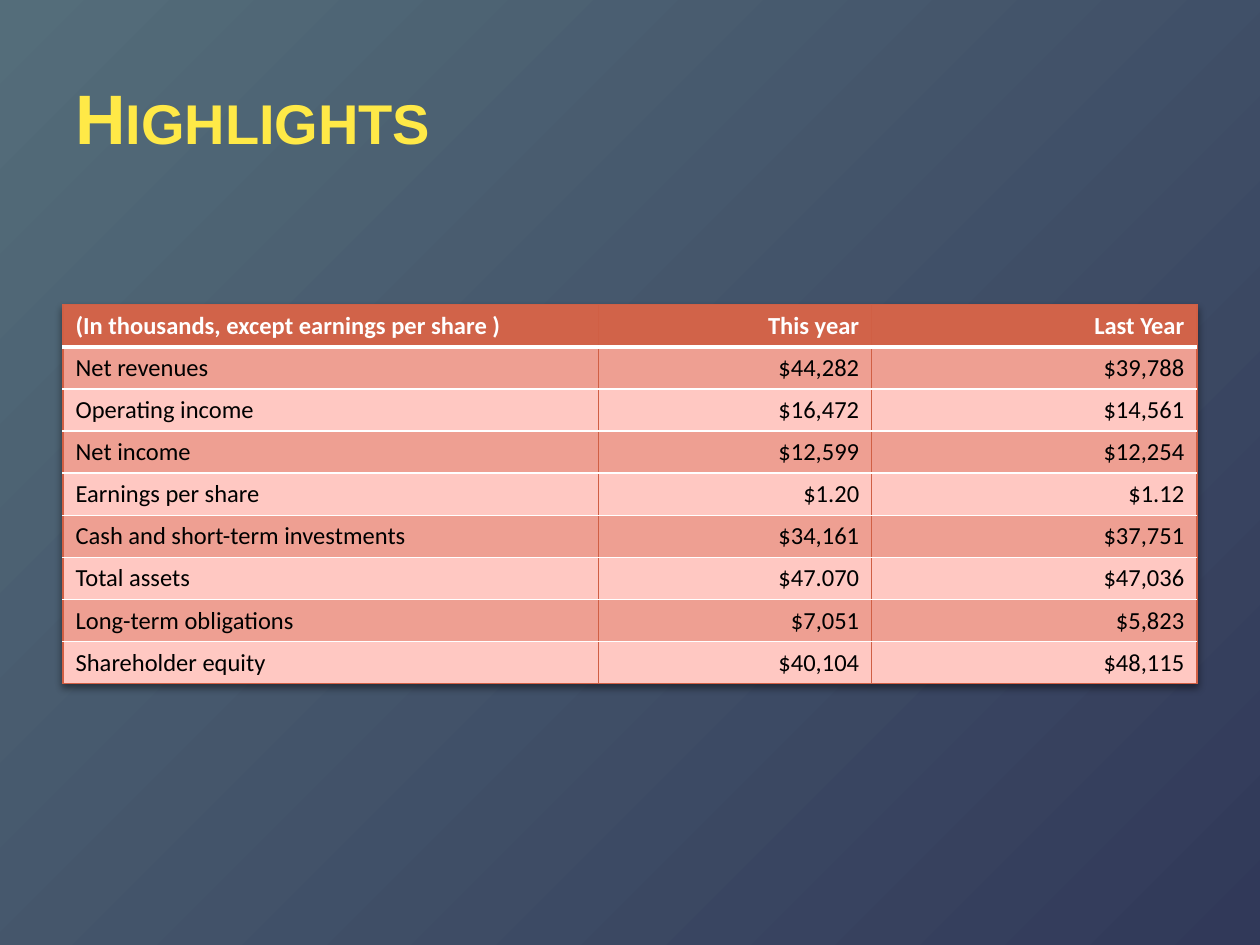
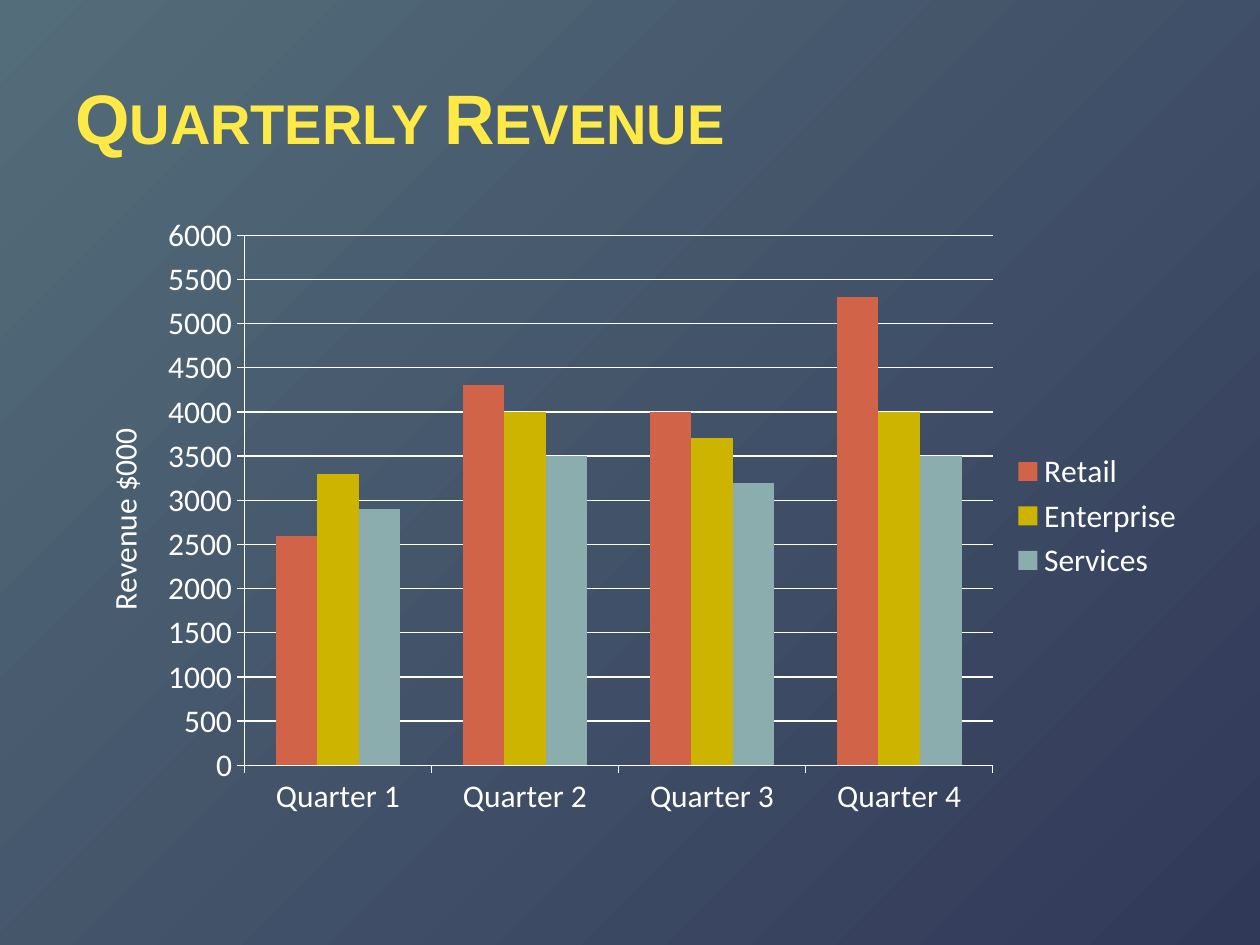
from lxml import etree
from pptx import Presentation
from pptx import util as u
from pptx.chart import data as chart_data
from pptx.dml import color
from pptx.enum import chart as charts, text
from pptx.oxml import ns, parse_xml

TITLE_FONT, BODY_FONT = "Arial", "Calibri"
YELLOW, WHITE, BLACK = "FFE947", "FFFFFF", "000000"
SKY_TOP, SKY_BOTTOM = "546D7A", "313959"
RUST, RUST_LINE, GOLD, TEAL = "D16349", "D05F44", "CCB400", "8CADAE"
DARK_BAND, LIGHT_BAND = "EE9F92", "FFC8C2"

HIGHLIGHTS = [
    ("(In thousands, except earnings per share )", "This year", "Last Year"),
    ("Net revenues", "$44,282", "$39,788"),
    ("Operating income", "$16,472", "$14,561"),
    ("Net income", "$12,599", "$12,254"),
    ("Earnings per share", "$1.20", "$1.12"),
    ("Cash and short-term investments", "$34,161", "$37,751"),
    ("Total assets", "$47.070", "$47,036"),
    ("Long-term obligations", "$7,051", "$5,823"),
    ("Shareholder equity", "$40,104", "$48,115"),
]
COLUMN_WIDTHS = (4.25, 2.17, 2.58)
QUARTERS = ["Quarter 1", "Quarter 2", "Quarter 3", "Quarter 4"]
REVENUE = [
    ("Retail", (2600, 4300, 4000, 5300), RUST),
    ("Enterprise", (3300, 4000, 3700, 4000), GOLD),
    ("Services", (2900, 3500, 3200, 3500), TEAL),
]


def rgb(value):
    return color.RGBColor.from_string(value)


def style_font(font, name, size, hue, bold=False):
    font.name, font.size, font.bold = name, u.Pt(size), bold
    font.color.rgb = rgb(hue)


def add_titled_slide(prs, heading):
    slide = prs.slides.add_slide(prs.slide_layouts[6])
    backdrop = slide.background.fill
    backdrop.gradient()
    backdrop.gradient_angle = 315
    for stop, hue in zip(backdrop.gradient_stops, (SKY_TOP, SKY_BOTTOM)):
        stop.color.rgb = rgb(hue)
    title = slide.shapes.add_textbox(
        u.Inches(0.5), u.Inches(0.3), u.Inches(9), u.Inches(1.25)).text_frame
    title.word_wrap = True
    title.vertical_anchor = text.MSO_ANCHOR.MIDDLE
    line = title.paragraphs[0]
    run = line.add_run()
    run.text = heading
    style_font(line.font, TITLE_FONT, 40, YELLOW, True)
    run._r.get_or_add_rPr().set("cap", "small")
    return slide


def set_borders(cell, borders):
    props = cell._tc.get_or_add_tcPr()
    for index, (side, hue, width) in enumerate(borders):
        props.insert(index, parse_xml(
            f'<a:ln{side} {ns.nsdecls("a")} w="{u.Pt(width)}"><a:solidFill>'
            f'<a:srgbClr val="{hue}"/></a:solidFill></a:ln{side}>'))


def add_table_shadow(table):
    table._tbl.tblPr.insert(0, parse_xml(
        f'<a:effectLst {ns.nsdecls("a")}><a:outerShdw blurRad="50800" '
        'dist="25400" dir="5400000" rotWithShape="0"><a:srgbClr val="000000">'
        '<a:alpha val="45000"/></a:srgbClr></a:outerShdw></a:effectLst>'))


def add_highlights_table(slide):
    table = slide.shapes.add_table(
        len(HIGHLIGHTS), len(COLUMN_WIDTHS), u.Inches(0.5), u.Inches(2.42),
        u.Inches(9), u.Inches(3)).table
    add_table_shadow(table)
    for column, width in zip(table.columns, COLUMN_WIDTHS):
        column.width = u.Inches(width)
    for row, entries in enumerate(HIGHLIGHTS):
        header = row == 0
        band = RUST if header else DARK_BAND if row % 2 else LIGHT_BAND
        borders = [("L", RUST_LINE, 0.75), ("R", RUST_LINE, 0.75)]
        if header:
            borders += [("T", RUST_LINE, 0.75), ("B", WHITE, 2)]
        else:
            borders += [("B", RUST_LINE, 0.75)]
        for col, entry in enumerate(entries):
            cell = table.cell(row, col)
            cell.text = entry
            cell.fill.solid()
            cell.fill.fore_color.rgb = rgb(band)
            set_borders(cell, borders)
            line = cell.text_frame.paragraphs[0]
            line.alignment = text.PP_ALIGN.RIGHT if col else text.PP_ALIGN.LEFT
            style_font(line.font, BODY_FONT, 14, WHITE if header else BLACK, header)


def place(parent, index, **fractions):
    for old in parent.findall(ns.qn("c:layout")):
        parent.remove(old)
    layout = etree.Element(ns.qn("c:layout"))
    manual = etree.SubElement(layout, ns.qn("c:manualLayout"))
    if "w" in fractions:
        etree.SubElement(manual, ns.qn("c:layoutTarget"), val="inner")
    for axis in "xy":
        etree.SubElement(manual, ns.qn(f"c:{axis}Mode"), val="edge")
    for key, fraction in fractions.items():
        etree.SubElement(manual, ns.qn(f"c:{key}"), val=str(fraction))
    parent.insert(index, layout)


def style_line(line):
    line.color.rgb = rgb(WHITE)
    line.width = u.Pt(0.75)


def add_revenue_chart(slide):
    figures = chart_data.CategoryChartData(number_format="0")
    figures.categories = QUARTERS
    for name, values, _ in REVENUE:
        figures.add_series(name, values)
    chart = slide.shapes.add_chart(
        charts.XL_CHART_TYPE.COLUMN_CLUSTERED, u.Inches(0.5), u.Inches(1.62),
        u.Inches(9), u.Inches(4.95), figures).chart
    style_font(chart.font, BODY_FONT, 18, WHITE)
    chart.has_title = False
    chart.has_legend = True
    chart.legend.position = charts.XL_LEGEND_POSITION.RIGHT
    chart.legend.include_in_layout = False

    plot = chart.plots[0]
    plot.gap_width, plot.overlap, plot.vary_by_categories = 150, 0, False
    for series, (_, _, hue) in zip(plot.series, REVENUE):
        series.format.fill.solid()
        series.format.fill.fore_color.rgb = rgb(hue)

    amounts = chart.value_axis
    for axis in (chart.category_axis, amounts):
        axis.major_tick_mark = charts.XL_TICK_MARK.OUTSIDE
        style_line(axis.format.line)
    amounts.minimum_scale, amounts.maximum_scale = 0, 6000
    amounts.major_unit = 500
    amounts.has_major_gridlines = True
    style_line(amounts.major_gridlines.format.line)
    caption = amounts.axis_title.text_frame
    caption.text = "Revenue $000"
    style_font(caption.paragraphs[0].font, BODY_FONT, 18, WHITE)
    caption._txBody.bodyPr.set("rot", "-5400000")
    caption._txBody.bodyPr.set("vert", "horz")

    place(chart._chartSpace.chart.plotArea, 0, x=0.16, y=0.05, w=0.66, h=0.85)
    place(amounts.axis_title._element, 1, x=0.03, y=0.35)


def main():
    prs = Presentation()
    prs.slide_width, prs.slide_height = u.Inches(10), u.Inches(7.5)
    add_highlights_table(add_titled_slide(prs, "Highlights"))
    add_revenue_chart(add_titled_slide(prs, "Quarterly Revenue"))
    prs.save("out.pptx")


if __name__ == "__main__":
    main()
